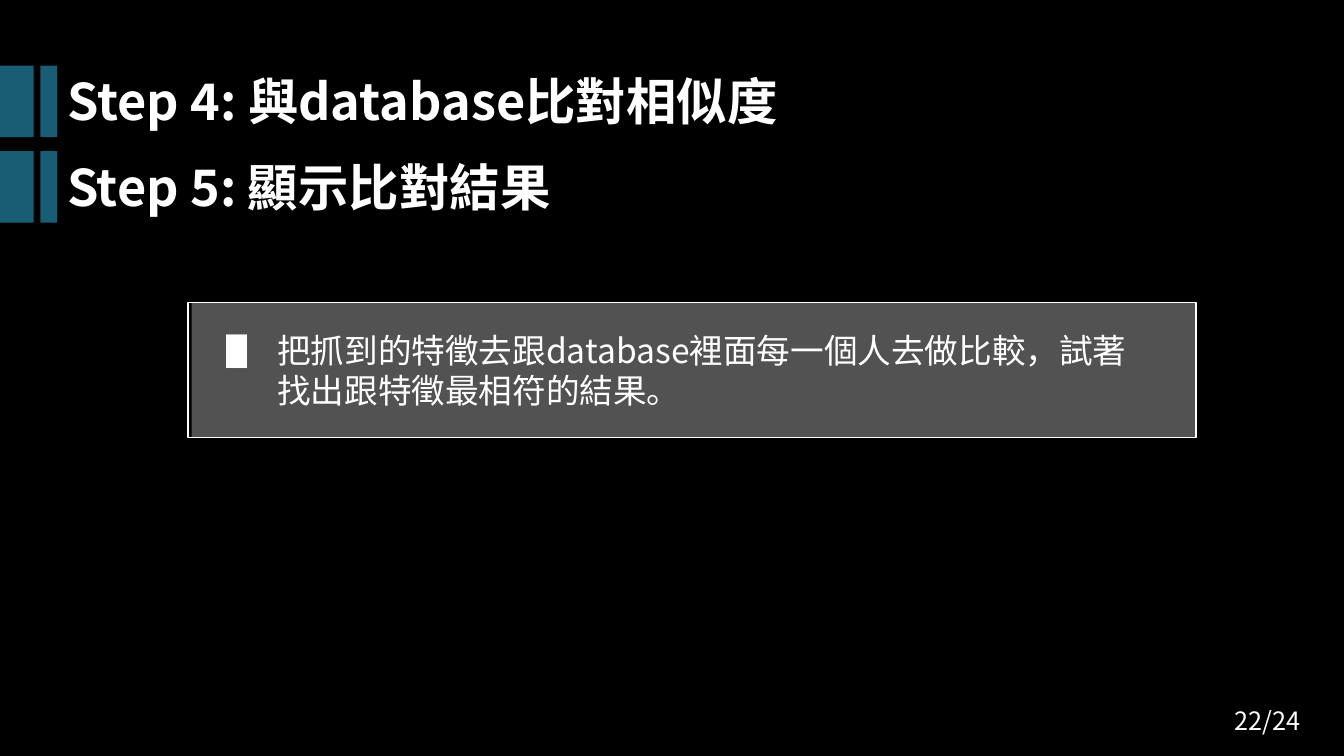
from dataclasses import dataclass
from typing import Optional

from lxml.etree import SubElement
from pptx import Presentation
from pptx.dml.color import RGBColor
from pptx.enum.shapes import MSO_SHAPE
from pptx.enum.text import MSO_ANCHOR, MSO_AUTO_SIZE, PP_ALIGN
from pptx.oxml.ns import qn
from pptx.util import Inches, Pt


@dataclass(frozen=True)
class Theme:
    font: str = "Noto Sans CJK SC"
    back: str = "000000"
    ink: str = "FFFFFF"
    accent: str = "37CBFF"
    accent_alpha: int = 46
    panel_alpha: int = 32
    heading: int = 36
    body: int = 24
    page: int = 18


@dataclass(frozen=True)
class Box:
    x: float
    y: float
    w: float
    h: float


@dataclass(frozen=True)
class Step:
    text: str
    y: float
    is_title: bool = False


THEME = Theme()
BAR_HEIGHT = 9.47
BARS = ((0, 2.5), (3, 1.25))
STEPS = (
    Step("Step 4: 與database比對相似度", 8.67, True),
    Step("Step 5: 顯示比對結果", 20),
)
PANEL = Box(14.25, 40, 74.75, 17.87)
FRAME = Box(14, 40, 75, 17.87)
DETAIL = Box(16.13, 42.93, 70.8, 12.13)
PAGE = Box(91.13, 92.67, 8.8, 5.33)

prs = Presentation()
prs.slide_width, prs.slide_height = Inches(13.33), Inches(7.5)
s = prs.slides.add_slide(prs.slide_layouts[1])
s.background.fill.solid()
s.background.fill.fore_color.rgb = RGBColor.from_string(THEME.back)


def place(box: Box) -> tuple[int, int, int, int]:
    w, h = prs.slide_width / 100, prs.slide_height / 100
    return int(box.x * w), int(box.y * h), int(box.w * w), int(box.h * h)


def add_rect(box: Box, fill: Optional[str] = None, alpha: int = 100,
             line: Optional[str] = None) -> None:
    sp = s.shapes.add_shape(MSO_SHAPE.RECTANGLE, *place(box))
    sp.shadow.inherit = False
    if fill:
        sp.fill.solid()
        sp.fill.fore_color.rgb = RGBColor.from_string(fill)
        color = sp.fill._xPr.find(qn("a:solidFill"))[0]
        SubElement(color, qn("a:alpha"), val=str(alpha * 1000))
    else:
        sp.fill.background()
    if line:
        sp.line.color.rgb = RGBColor.from_string(line)
        sp.line.width = Pt(1)
    else:
        sp.line.fill.background()


def add_text(text: str, box: Box, *, size: int, bold: bool = False,
             bullet: Optional[str] = None, holder=None) -> None:
    sp = holder or s.shapes.add_textbox(0, 0, 0, 0)
    sp.left, sp.top, sp.width, sp.height = place(box)
    sp.element.getparent().append(sp.element)
    tf = sp.text_frame
    tf.word_wrap = True
    tf.auto_size = MSO_AUTO_SIZE.NONE
    tf.vertical_anchor = MSO_ANCHOR.TOP
    p = tf.paragraphs[0]
    p.alignment = PP_ALIGN.LEFT
    p.space_before = Pt(0)
    if bullet:
        ppr = p._p.get_or_add_pPr()
        ppr.set("marL", str(Inches(0.5)))
        ppr.set("indent", str(Inches(-0.5)))
        SubElement(ppr, qn("a:buFont"), typeface=THEME.font)
        SubElement(ppr, qn("a:buChar"), char=bullet)
    r = p.add_run()
    r.text = text
    r.font.size = Pt(size)
    r.font.bold = bold
    r.font.color.rgb = RGBColor.from_string(THEME.ink)
    r.font.name = THEME.font
    SubElement(r._r.get_or_add_rPr(), qn("a:ea"), typeface=THEME.font)


def add_step(step: Step) -> None:
    for x, w in BARS:
        add_rect(Box(x, step.y, w, BAR_HEIGHT), THEME.accent, THEME.accent_alpha)
    add_text(step.text, Box(4.25, step.y, 64.9, BAR_HEIGHT), size=THEME.heading,
             bold=True, holder=s.shapes.title if step.is_title else None)


def main() -> None:
    for step in STEPS:
        add_step(step)
    add_rect(PANEL, THEME.ink, THEME.panel_alpha)
    add_rect(FRAME, line=THEME.ink)
    add_text("把抓到的特徵去跟database裡面每一個人去做比較，試著找出跟特徵最相符的結果。",
             DETAIL, size=THEME.body, bullet="▋", holder=s.placeholders[1])
    add_text("22/24", PAGE, size=THEME.page)
    prs.save("out.pptx")


if __name__ == "__main__":
    main()
